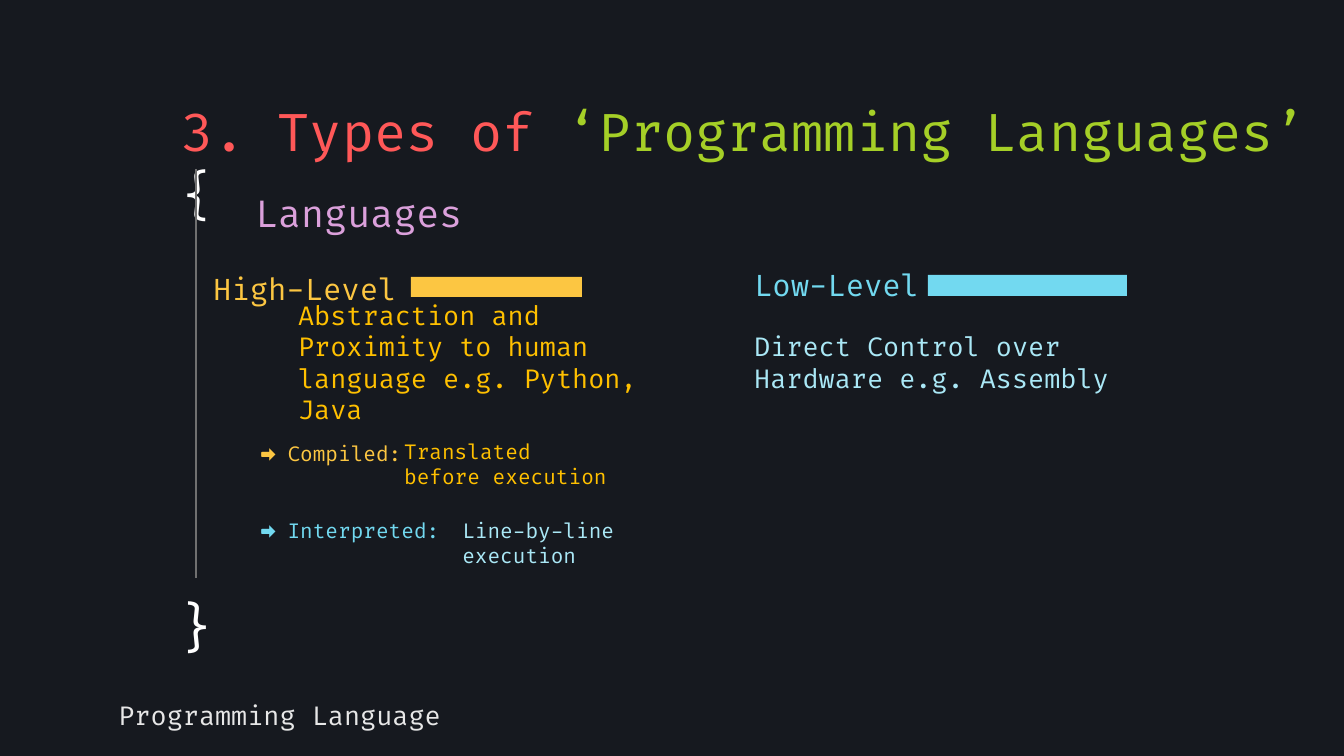
"""Build a dark slide on the types of programming languages."""
from pptx import Presentation
from pptx.dml.color import RGBColor as RGB
from pptx.enum.shapes import MSO_CONNECTOR as LINK, MSO_SHAPE as SHAPE
from pptx.enum.text import MSO_ANCHOR as ANCHOR, MSO_AUTO_SIZE as FIT, PP_ALIGN as ALIGN
from pptx.oxml.ns import qn
from pptx.util import Emu, Pt

PX = 914400 / 134.4
FONT = "Fira Code"
HUES = {
    "back": "16191F", "rule": "707070", "white": "FFFFFF", "pale": "E7E7E7",
    "red": "FF5858", "green": "A5CF27", "pink": "DBA0DB", "gold": "FCC642",
    "amber": "FFC000", "cyan": "72D9F0", "ice": "AAE8F6",
}

TITLE = [("3. Types of ", "red"), ("‘Programming Languages’ ", "green"), ("{", "white")]
FOOT = [("Programming Language", "pale")]
NOTES = [
    ("Languages", "pink", 20, (242, 188, 519, 50)),
    ("High-Level", "gold", 16, (200, 267, 215, 44)),
    ("Abstraction and Proximity to human language e.g. Python, Java",
     "amber", 14, (285, 308, 425, 108)),
    ("Low-Level", "cyan", 16, (741, 258, 234, 54)),
    ("Direct Control over Hardware e.g. Assembly", "ice", 14, (741, 308, 402, 108)),
    ("➡ Compiled:", "gold", 11, (249, 431, 215, 44)),
    ("➡ Interpreted:", "cyan", 11, (249, 499, 304, 62)),
    ("Line-by-line\nexecution", "ice", 11, (449, 489, 402, 108)),
    ("Translated\nbefore execution", "amber", 11, (391, 410, 425, 108)),
]
BARS = [("gold", (411, 277, 171, 20)), ("cyan", (928, 275, 199, 21))]
RULE = (196, 169, 196, 578)


def px(*nums):
    return [Emu(round(n * PX)) for n in nums]


def hue(name):
    return RGB.from_string(HUES[name])


def write(shape, runs, size, anchor=ANCHOR.MIDDLE, align=ALIGN.LEFT):
    frame = shape.text_frame
    frame.auto_size = FIT.NONE
    frame.word_wrap = True
    frame.vertical_anchor = anchor
    frame.margin_left = frame.margin_right = Pt(7.2)
    frame.margin_top = frame.margin_bottom = Pt(7.2)
    para = frame.paragraphs[0]
    para.alignment = align
    para.line_spacing = 1.0
    para.space_before = Pt(0)
    for text, tone in runs:
        for i, line in enumerate(text.split("\n")):
            if i:
                para.add_line_break()
            run = para.add_run()
            run.text = line
            run.font.name = FONT
            run.font.size = Pt(size)
            run.font.color.rgb = hue(tone)


def place(shape, box):
    shape.left, shape.top, shape.width, shape.height = px(*box)
    return shape


def main():
    deck = Presentation()
    deck.slide_width, deck.slide_height = px(1344, 756)
    slide = deck.slides.add_slide(deck.slide_layouts[0])
    slide.background.fill.solid()
    slide.background.fill.fore_color.rgb = hue("back")
    shapes = slide.shapes

    write(place(shapes.title, (168, 86, 1176, 79)), TITLE, 28, ANCHOR.TOP)
    write(place(slide.placeholders[1], (105, 689, 715, 52)), FOOT, 14)

    brace = shapes.add_textbox(*px(160, 581, 74, 90))
    write(brace, [("}", "white")], 28, ANCHOR.TOP, ALIGN.CENTER)

    rule = shapes.add_connector(LINK.STRAIGHT, *px(*RULE))
    rule.line.color.rgb = hue("rule")
    rule.line.width = Pt(0.75)
    props = rule._element.spPr
    props.append(props.makeelement(qn("a:effectLst"), {}))

    for tone, box in BARS:
        bar = shapes.add_shape(SHAPE.RECTANGLE, *px(*box))
        bar.shadow.inherit = False
        bar.fill.solid()
        bar.fill.fore_color.rgb = hue(tone)
        bar.line.fill.background()

    for text, tone, size, box in NOTES:
        write(shapes.add_textbox(*px(*box)), [(text, tone)], size)

    deck.save("out.pptx")


if __name__ == "__main__":
    main()
